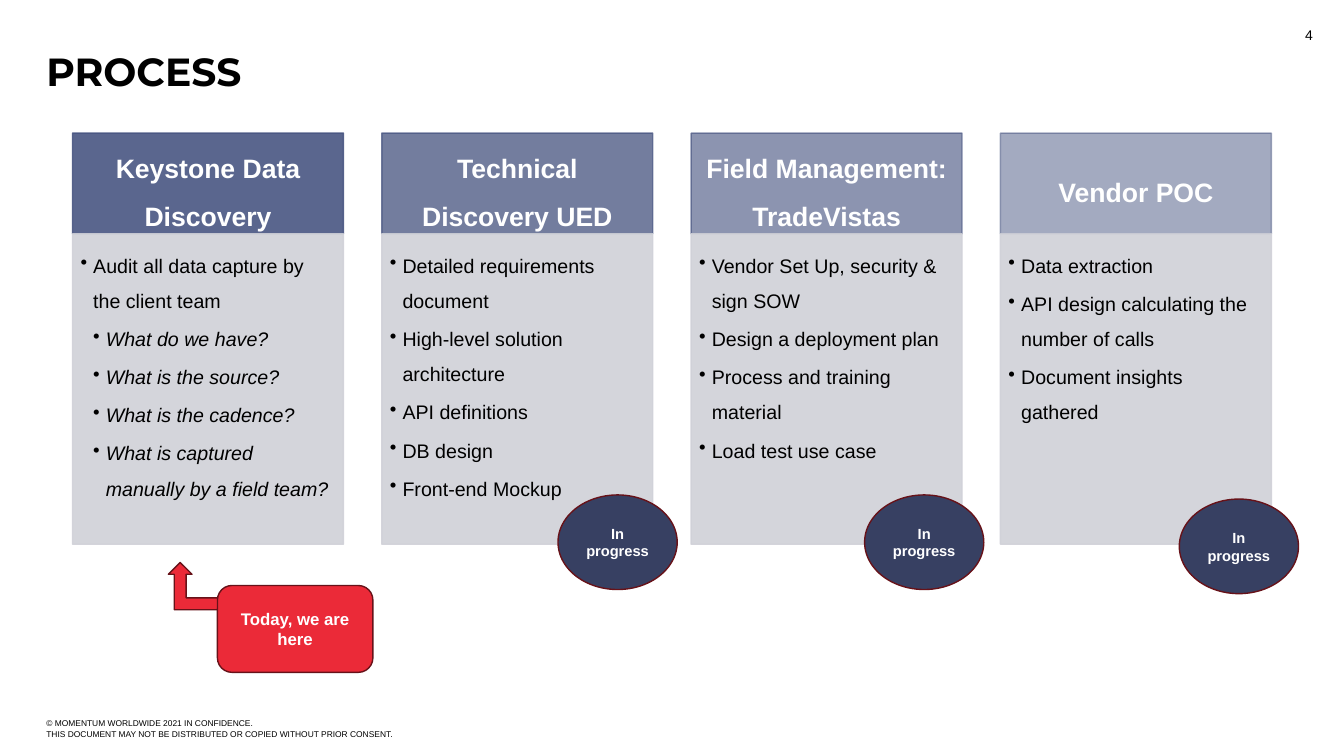
from lxml.etree import SubElement as Sub
from pptx import Presentation
from pptx.dml.color import RGBColor as Rgb
from pptx.enum.shapes import MSO_SHAPE as Kind
from pptx.enum.text import MSO_ANCHOR as Anchor, PP_ALIGN as Align
from pptx.oxml.ns import qn
from pptx.util import Inches, Pt

WIDE, HIGH = Inches(13.33), Inches(7.5)
INK = dict(black="000000", white="FFFFFF", head="495682", body="D0D1D8",
           red="EB2A38", edge="671219", navy="374062")
SIDES = ("margin_left", "margin_top", "margin_right", "margin_bottom")
FLAT = (0, 0, 0, 0)
PADS = (0.1, 0.05, 0.1, 0.05)

STAGES = [
    ("Keystone Data Discovery", 90, None, [
        (1, "Audit all data capture by the client team"),
        (2, "What do we have?"),
        (2, "What is the source?"),
        (2, "What is the cadence?"),
        (2, "What is captured manually by a field team?")]),
    ("Technical Discovery UED", 77, (0.65, 0.88), [
        (1, "Detailed requirements document"),
        (1, "High-level solution architecture"),
        (1, "API definitions"),
        (1, "DB design"),
        (1, "Front-end Mockup")]),
    ("Field Management: TradeVistas", 63, (0.64, 0.88), [
        (1, "Vendor Set Up, security & sign SOW"),
        (1, "Design a deployment plan"),
        (1, "Process and training material"),
        (1, "Load test use case")]),
    ("Vendor POC", 50, (0.66, 0.89), [
        (1, "Data extraction"),
        (1, "API design calculating the number of calls"),
        (1, "Document insights gathered")]),
]


def share(left, top, wide, high):
    """Turn percentages of the slide into a box."""
    return (int(WIDE * left / 100), int(HIGH * top / 100),
            int(WIDE * wide / 100), int(HIGH * high / 100))


def part(box, left, top, wide, high):
    """Return a box given as fractions of another box."""
    x, y, w, h = box
    return int(x + w * left), int(y + h * top), int(w * wide), int(h * high)


def put(item, vals):
    """Set attributes from a dict."""
    for key, val in vals.items():
        setattr(item, key, val)


def style(para, size, ink="black", face="Arial", bold=False, slant=False, **form):
    """Format a paragraph and its font."""
    put(para, form)
    put(para.font, dict(size=Pt(size), name=face, bold=bold, italic=slant))
    para.font.color.rgb = Rgb.from_string(INK[ink])


def frame(shape, pads=PADS, anchor=Anchor.MIDDLE):
    """Set the wrapping, margins and anchor of a text frame."""
    text = shape.text_frame
    put(text, dict(word_wrap=True, vertical_anchor=anchor))
    put(text, dict(zip(SIDES, map(Inches, pads))))
    return text


def write(shape, words, size, pads=PADS, anchor=Anchor.MIDDLE, **look):
    """Write one paragraph in a shape."""
    text = frame(shape, pads, anchor)
    text.text = words
    style(text.paragraphs[0], size, **look)


def draw(slide, kind, box, fill, line, clear=100):
    """Add a filled and outlined shape."""
    shape = slide.shapes.add_shape(kind, *box)
    shape.shadow.inherit = False
    shape.fill.solid()
    shape.line.width = Pt(1)
    for paint, ink in ((shape.fill.fore_color, fill), (shape.line.color, line)):
        paint.rgb = Rgb.from_string(INK[ink])
    if clear < 100:
        for tint in shape.element.spPr.iter(qn("a:srgbClr")):
            Sub(tint, qn("a:alpha"), val=str(clear * 1000))
    return shape


def items(shape, rows):
    """Fill a shape with a bullet list of two levels."""
    text = frame(shape, (0.08, 0.08, 0.11, 0.12), Anchor.TOP)
    for num, (depth, words) in enumerate(rows):
        para = text.add_paragraph() if num else text.paragraphs[0]
        para.text = words
        props = para._p.get_or_add_pPr()
        put(para, dict(level=depth))
        props.set("marL", str(Inches(0.125 * depth)))
        props.set("indent", str(-Inches(0.125)))
        Sub(props, qn("a:buChar"), char="•")
        style(para, 14, slant=depth == 2, alignment=Align.LEFT,
              line_spacing=1.5, space_after=Pt(2))


def stage(slide, box, name, clear, badge, rows):
    """Draw one process column with its status badge."""
    cut = 0.245
    head = draw(slide, Kind.RECTANGLE, part(box, 0, 0, 1, cut), "head", "head", clear)
    write(head, name, 19, (0.15, 0.08, 0.15, 0.08), ink="white", bold=True,
          alignment=Align.CENTER, line_spacing=1.5)
    body = draw(slide, Kind.RECTANGLE, part(box, 0, cut, 1, 1 - cut), "body", "body", 90)
    items(body, rows)
    if badge:
        oval = draw(slide, Kind.OVAL, part(box, *badge, 0.44, 0.23), "navy", "edge")
        write(oval, "In progress", 10.5, ink="white", bold=True, alignment=Align.CENTER)


def board(slide, box):
    """Spread the process columns evenly over a box."""
    gap = 0.032
    wide = (1 - gap * (len(STAGES) - 1)) / len(STAGES)
    for num, data in enumerate(STAGES):
        stage(slide, part(box, num * (wide + gap), 0, wide, 1), *data)


def today(slide, box):
    """Draw the callout and the arrow to the current stage."""
    arrow = draw(slide, Kind.BENT_UP_ARROW, part(box, 0, 0, 0.49, 0.43), "red", "edge")
    arrow.element.spPr.find(qn("a:xfrm")).set("flipH", "1")
    note = draw(slide, Kind.ROUNDED_RECTANGLE, part(box, 0.24, 0.21, 0.76, 0.79),
                "red", "edge")
    write(note, "Today, we are here", 12, ink="white", bold=True,
          alignment=Align.CENTER)


def title(slide, box):
    """Place the slide title."""
    shape = slide.shapes.title
    put(shape, dict(zip(("left", "top", "width", "height"), box)))
    write(shape, "PROCESS", 28, FLAT, Anchor.TOP, face="Montserrat", bold=True,
          alignment=Align.LEFT, line_spacing=0.85)


def label(slide, box, words, size, pads=PADS, **look):
    """Add a plain text box."""
    write(slide.shapes.add_textbox(*box), words, size, pads, **look)


def main():
    """Build and save the slide."""
    deck = Presentation()
    put(deck, dict(slide_width=WIDE, slide_height=HIGH))
    slide = deck.slides.add_slide(deck.slide_layouts[5])
    label(slide, share(3.45, 92.8, 30.1, 6.93),
          "© MOMENTUM WORLDWIDE 2021 IN CONFIDENCE.\v"
          "THIS DOCUMENT MAY NOT BE DISTRIBUTED OR COPIED WITHOUT PRIOR CONSENT.",
          6, FLAT, line_spacing=1.15)
    title(slide, share(3.45, 7.2, 93.15, 13.33))
    label(slide, share(75.92, 2, 22.5, 5.33), "4", 10, alignment=Align.RIGHT)
    board(slide, share(5.4, 17.6, 89.2, 54.4))
    today(slide, share(12.53, 74.4, 15.22, 14.54))
    deck.save("out.pptx")


if __name__ == "__main__":
    main()
